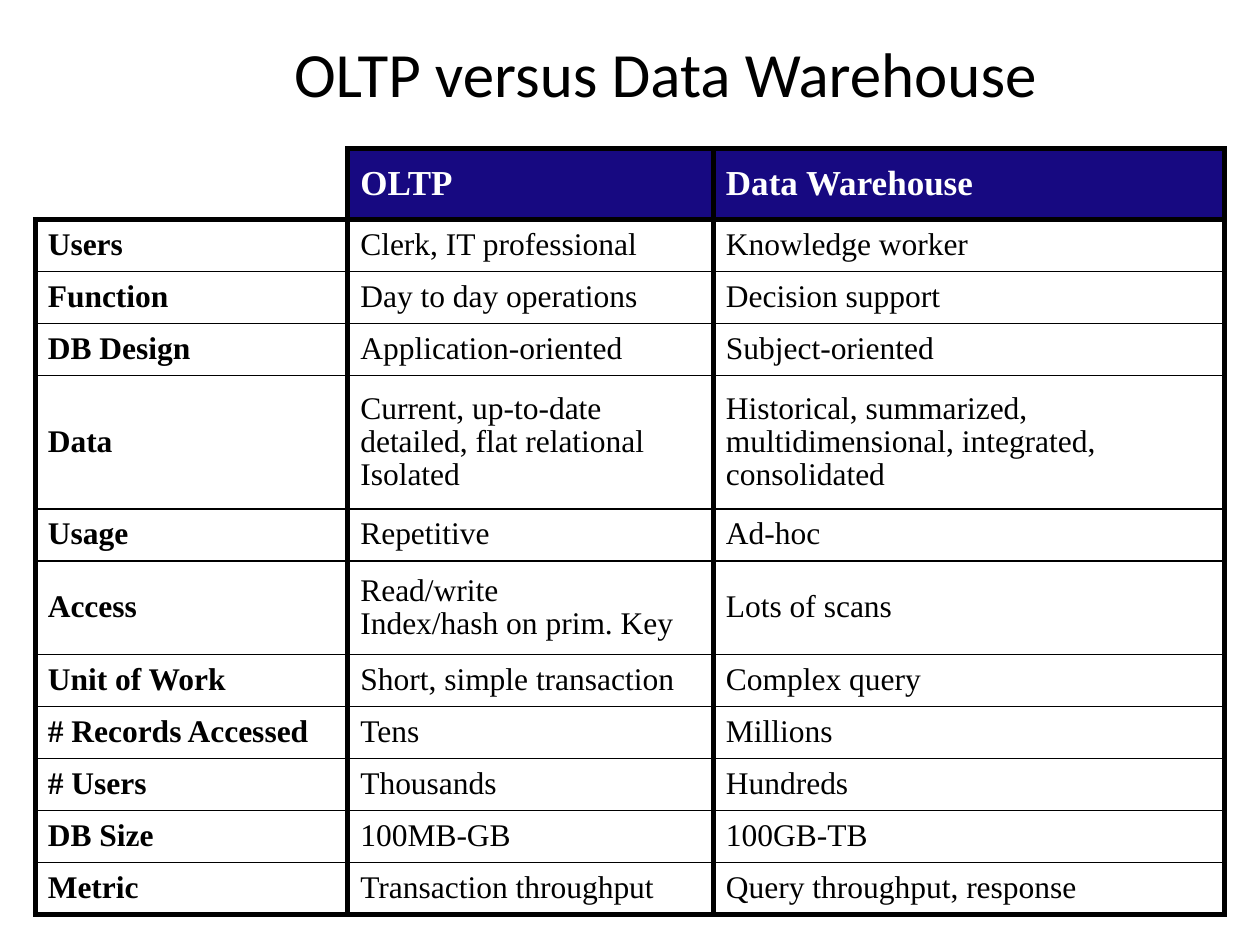
from lxml.etree import SubElement
from pptx import Presentation
from pptx.dml.color import RGBColor
from pptx.enum.text import MSO_ANCHOR as Anchor, PP_ALIGN as Align
from pptx.oxml import parse_xml
from pptx.oxml.ns import nsdecls, qn
from pptx.util import Cm, Pt

BLACK, WHITE, NAVY = "000000", "FFFFFF", "170981"
THICK, THIN = 3, 1
COLUMN_WIDTHS = [6.3, 7.37, 10.31]
HEADER_HEIGHT = 1.42
ROW_HEIGHT = 1.05
TALL_HEIGHTS = {"Data": 2.69, "Access": 1.88}
ROWS = [
    ("", "OLTP", "Data Warehouse"),
    ("Users", "Clerk, IT professional", "Knowledge worker"),
    ("Function", "Day to day operations", "Decision support"),
    ("DB Design", "Application-oriented", "Subject-oriented"),
    ("Data", "Current, up-to-date\ndetailed, flat relational\nIsolated",
     "Historical, summarized, multidimensional, integrated, consolidated"),
    ("Usage", "Repetitive", "Ad-hoc"),
    ("Access", "Read/write\nIndex/hash on prim. Key", "Lots of scans"),
    ("Unit of Work", "Short, simple transaction", "Complex query"),
    ("# Records Accessed", "Tens", "Millions"),
    ("# Users", "Thousands", "Hundreds"),
    ("DB Size", "100MB-GB", "100GB-TB"),
    ("Metric", "Transaction throughput", "Query throughput, response"),
]


def color(value):
    return RGBColor.from_string(value)


def format_font(font, name, size, value, bold=False):
    font.name = name
    font.size = Pt(size)
    font.bold = bold
    font.color.rgb = color(value)


def add_title(slide, text):
    title = slide.shapes.title
    title.left, title.top, title.width, title.height = Cm(1.68), Cm(0.25), Cm(23.47), Cm(2.41)
    title.text_frame.text = text
    title.text_frame.vertical_anchor = Anchor.MIDDLE
    paragraph = title.text_frame.paragraphs[0]
    paragraph.alignment = Align.CENTER
    format_font(paragraph.font, "Calibri", 36, BLACK)


def set_borders(cell, **widths):
    properties = cell._tc.get_or_add_tcPr()
    for index, side in enumerate("LRTB"):
        width = widths.get(side, 0)
        line = parse_xml(f'<a:ln{side} {nsdecls("a")} w="{Pt(width)}"/>')
        if width:
            fill = SubElement(line, qn("a:solidFill"))
            SubElement(fill, qn("a:srgbClr"), val=BLACK)
        else:
            SubElement(line, qn("a:noFill"))
        properties.insert(index, line)


def fill_cell(cell, text, is_header, bold):
    cell.vertical_anchor = Anchor.MIDDLE
    if is_header and text:
        cell.fill.solid()
        cell.fill.fore_color.rgb = color(NAVY)
    else:
        cell.fill.background()
    cell.text = text
    for paragraph in cell.text_frame.paragraphs:
        paragraph.line_spacing = 0.95
        format_font(paragraph.font, "Times New Roman", 20 if is_header else 18,
                    WHITE if is_header else BLACK, bold)


def add_comparison_table(slide):
    heights = [HEADER_HEIGHT] + [TALL_HEIGHTS.get(row[0], ROW_HEIGHT) for row in ROWS[1:]]
    table = slide.shapes.add_table(
        len(ROWS), len(COLUMN_WIDTHS), Cm(0.71), Cm(3),
        Cm(sum(COLUMN_WIDTHS)), Cm(sum(heights))).table
    table.horz_banding = False
    for column, width in zip(table.columns, COLUMN_WIDTHS):
        column.width = Cm(width)
    last = len(ROWS) - 1
    for row_index, texts in enumerate(ROWS):
        table.rows[row_index].height = Cm(heights[row_index])
        for column_index, text in enumerate(texts):
            cell = table.cell(row_index, column_index)
            is_header = row_index == 0
            fill_cell(cell, text, is_header, is_header or column_index == 0)
            if text:
                set_borders(cell, L=THICK, R=THICK,
                            T=THICK if row_index <= 1 else THIN,
                            B=THICK if row_index in (0, last) else THIN)
            else:
                set_borders(cell, R=THICK, B=THICK)


def main():
    presentation = Presentation()
    presentation.slide_width, presentation.slide_height = Cm(25.4), Cm(19.05)
    slide = presentation.slides.add_slide(presentation.slide_layouts[5])
    add_title(slide, "OLTP versus Data Warehouse")
    add_comparison_table(slide)
    presentation.save("out.pptx")


if __name__ == "__main__":
    main()
